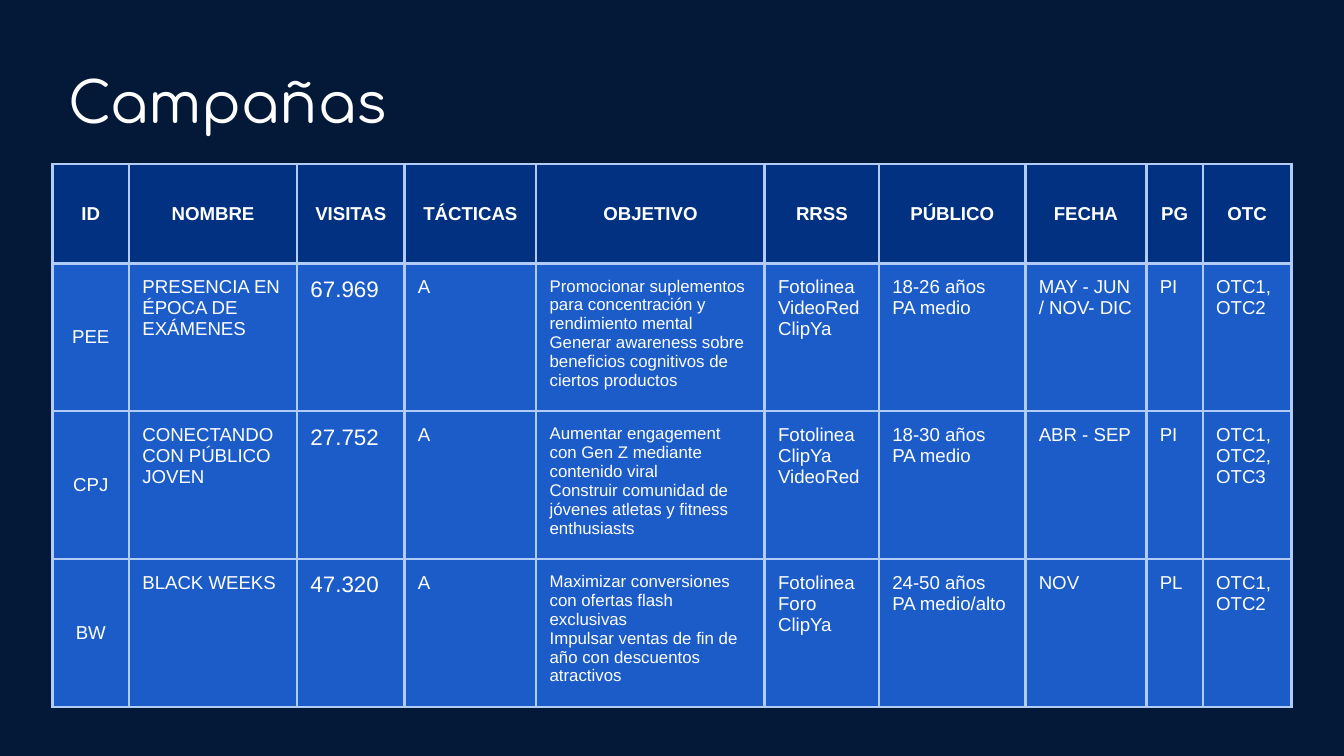
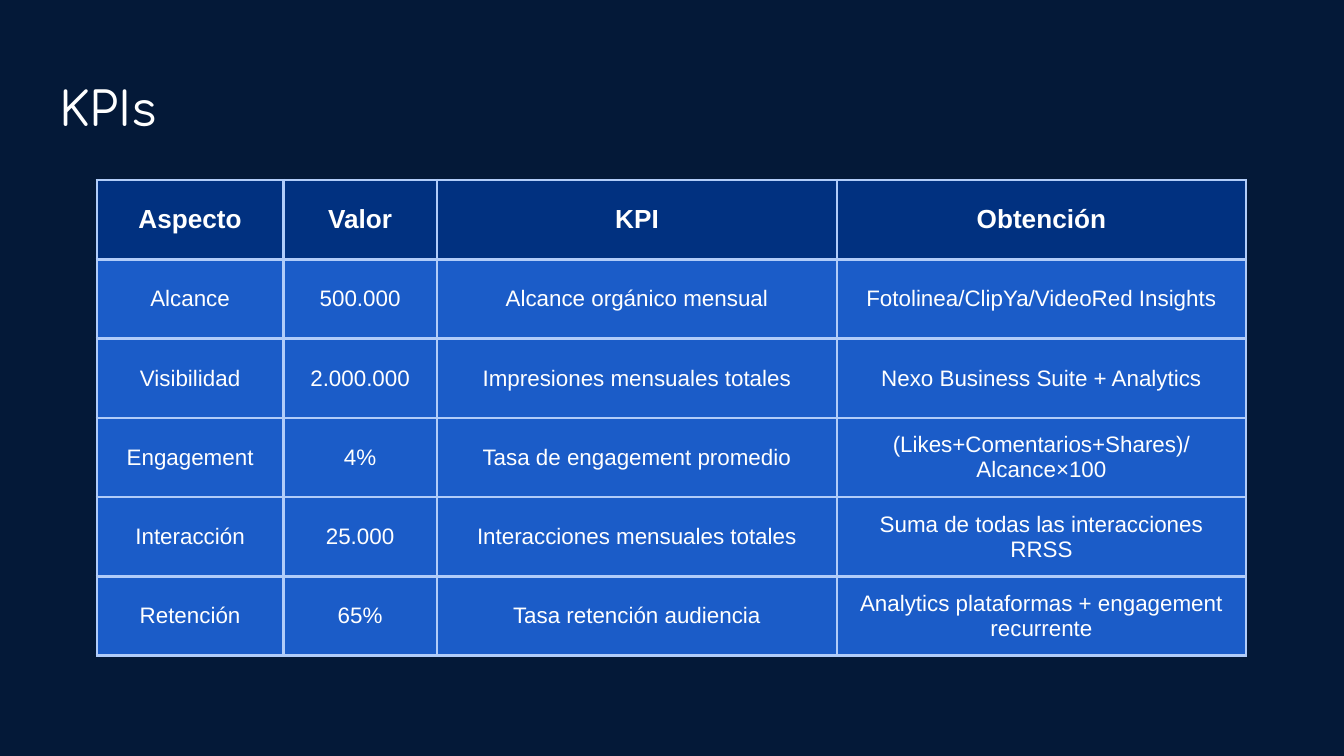
from dataclasses import dataclass

import pptx
import pptx.dml.color
import pptx.enum.text
import pptx.oxml
import pptx.oxml.ns
import pptx.presentation
import pptx.slide
import pptx.table
import pptx.text.text
import pptx.util
from pptx.util import Inches

COLORS = {
    "background": "041938",
    "header": "013180",
    "body": "1B5CC8",
    "border": "B1CCF9",
    "text": "FFFFFF",
}
TITLE_FONT = "Comfortaa"
TABLE_FONT = "Arial"
MARGIN = Inches(0.1)
BORDER_WIDTH = pptx.util.Pt(1.5)
TITLE_ONLY_LAYOUT = 5


@dataclass(frozen=True)
class Title:
    text: str
    left: float
    top: float
    width: float
    height: float
    size: float


@dataclass(frozen=True)
class Column:
    header: str
    width: float
    size: float
    centered: bool = False


@dataclass(frozen=True)
class TableContent:
    left: float
    top: float
    header_height: float
    row_height: float
    header_size: float
    columns: list[Column]
    rows: list[list[str]]


# Slide content
CAMPAIGN_TITLE = Title("Campañas", 0.41, 0.4, 6.98, 0.71, 30.2)
CAMPAIGNS = TableContent(
    left=0.39, top=1.22, header_height=0.74, row_height=1.1, header_size=10,
    columns=[
        Column("ID", 0.57, 10, centered=True),
        Column("NOMBRE", 1.25, 10),
        Column("VISITAS", 0.8, 12),
        Column("TÁCTICAS", 0.98, 10),
        Column("OBJETIVO", 1.7, 9),
        Column("RRSS", 0.85, 10),
        Column("PÚBLICO", 1.09, 10),
        Column("FECHA", 0.9, 10),
        Column("PG", 0.42, 10),
        Column("OTC", 0.66, 10),
    ],
    rows=[
        ["PEE", "PRESENCIA EN ÉPOCA DE EXÁMENES", "67.969", "A",
         "Promocionar suplementos para concentración y rendimiento mental\n"
         "Generar awareness sobre beneficios cognitivos de ciertos productos",
         "Fotolinea\nVideoRed\nClipYa", "18-26 años\nPA medio",
         "MAY - JUN / NOV- DIC", "PI", "OTC1, OTC2"],
        ["CPJ", "CONECTANDO CON PÚBLICO JOVEN", "27.752", "A",
         "Aumentar engagement con Gen Z mediante contenido viral\n"
         "Construir comunidad de jóvenes atletas y fitness enthusiasts",
         "Fotolinea\nClipYa\nVideoRed", "18-30 años\nPA medio",
         "ABR - SEP", "PI", "OTC1, OTC2, OTC3"],
        ["BW", "BLACK WEEKS", "47.320", "A",
         "Maximizar conversiones con ofertas flash exclusivas\n"
         "Impulsar ventas de fin de año con descuentos atractivos",
         "Fotolinea\nForo\nClipYa", "24-50 años\nPA medio/alto",
         "NOV", "PL", "OTC1, OTC2"],
    ],
)

KPI_TITLE = Title("KPIs", 0.34, 0.49, 9.32, 0.63, 25.2)
KPIS = TableContent(
    left=0.72, top=1.34, header_height=0.59, row_height=0.59, header_size=14,
    columns=[
        Column("Aspecto", 1.39, 12, centered=True),
        Column("Valor", 1.14, 12, centered=True),
        Column("KPI", 2.98, 12, centered=True),
        Column("Obtención", 3.04, 12, centered=True),
    ],
    rows=[
        ["Alcance", "500.000", "Alcance orgánico mensual",
         "Fotolinea/ClipYa/VideoRed Insights"],
        ["Visibilidad", "2.000.000", "Impresiones mensuales totales",
         "Nexo Business Suite + Analytics"],
        ["Engagement", "4%", "Tasa de engagement promedio",
         "(Likes+Comentarios+Shares)/Alcance×100"],
        ["Interacción", "25.000", "Interacciones mensuales totales",
         "Suma de todas las interacciones RRSS"],
        ["Retención", "65%", "Tasa retención audiencia",
         "Analytics plataformas + engagement recurrente"],
    ],
)


# Shared formatting
def rgb(name: str) -> pptx.dml.color.RGBColor:
    return pptx.dml.color.RGBColor.from_string(COLORS[name])


def format_paragraph(paragraph: pptx.text.text._Paragraph, font_name: str,
                     size: float, bold: bool, centered: bool) -> None:
    alignment = pptx.enum.text.PP_ALIGN
    paragraph.alignment = alignment.CENTER if centered else alignment.LEFT
    paragraph.font.name = font_name
    paragraph.font.size = pptx.util.Pt(size)
    paragraph.font.bold = bold
    paragraph.font.color.rgb = rgb("text")


def add_borders(cell: pptx.table._Cell) -> None:
    properties = cell._tc.get_or_add_tcPr()
    for index, side in enumerate("LRTB"):
        properties.insert(index, pptx.oxml.parse_xml(
            f'<a:ln{side} {pptx.oxml.ns.nsdecls("a")} w="{BORDER_WIDTH}">'
            f'<a:solidFill><a:srgbClr val="{COLORS["border"]}"/></a:solidFill>'
            f'<a:prstDash val="solid"/></a:ln{side}>'))


def fill_cell(cell: pptx.table._Cell, text: str, color: str, size: float,
              bold: bool, centered: bool) -> None:
    anchor = pptx.enum.text.MSO_ANCHOR
    cell.text = text
    cell.vertical_anchor = anchor.MIDDLE if centered else anchor.TOP
    cell.margin_left = cell.margin_right = MARGIN
    cell.margin_top = cell.margin_bottom = MARGIN
    cell.fill.solid()
    cell.fill.fore_color.rgb = rgb(color)
    add_borders(cell)
    for paragraph in cell.text_frame.paragraphs:
        format_paragraph(paragraph, TABLE_FONT, size, bold, centered)


# Slide parts
def set_title(slide: pptx.slide.Slide, title: Title) -> None:
    shape = slide.shapes.title
    shape.left, shape.top = Inches(title.left), Inches(title.top)
    shape.width, shape.height = Inches(title.width), Inches(title.height)
    frame = shape.text_frame
    frame.text = title.text
    frame.word_wrap = True
    frame.auto_size = pptx.enum.text.MSO_AUTO_SIZE.NONE
    frame.vertical_anchor = pptx.enum.text.MSO_ANCHOR.TOP
    frame.margin_left = frame.margin_right = MARGIN
    frame.margin_top = frame.margin_bottom = MARGIN
    format_paragraph(frame.paragraphs[0], TITLE_FONT, title.size, False, False)


def add_table(slide: pptx.slide.Slide, content: TableContent) -> None:
    row_count = len(content.rows)
    table = slide.shapes.add_table(
        row_count + 1, len(content.columns),
        Inches(content.left), Inches(content.top),
        Inches(sum(column.width for column in content.columns)),
        Inches(content.header_height + row_count * content.row_height),
    ).table
    table.horz_banding = False
    for index, row in enumerate(table.rows):
        row.height = Inches(content.row_height if index else content.header_height)
    for column_index, column in enumerate(content.columns):
        table.columns[column_index].width = Inches(column.width)
        fill_cell(table.cell(0, column_index), column.header, "header",
                  content.header_size, True, True)
        for row_index, row_texts in enumerate(content.rows, start=1):
            fill_cell(table.cell(row_index, column_index), row_texts[column_index],
                      "body", column.size, False, column.centered)


def add_slide(presentation: pptx.presentation.Presentation, title: Title,
              content: TableContent) -> None:
    slide = presentation.slides.add_slide(presentation.slide_layouts[TITLE_ONLY_LAYOUT])
    set_title(slide, title)
    add_table(slide, content)


def main() -> None:
    presentation = pptx.Presentation()
    # Widescreen, 16:9
    presentation.slide_width = Inches(10)
    presentation.slide_height = Inches(10) * 9 // 16
    background = presentation.slide_master.background.fill
    background.solid()
    background.fore_color.rgb = rgb("background")
    add_slide(presentation, CAMPAIGN_TITLE, CAMPAIGNS)
    add_slide(presentation, KPI_TITLE, KPIS)
    presentation.save("out.pptx")


if __name__ == "__main__":
    main()
